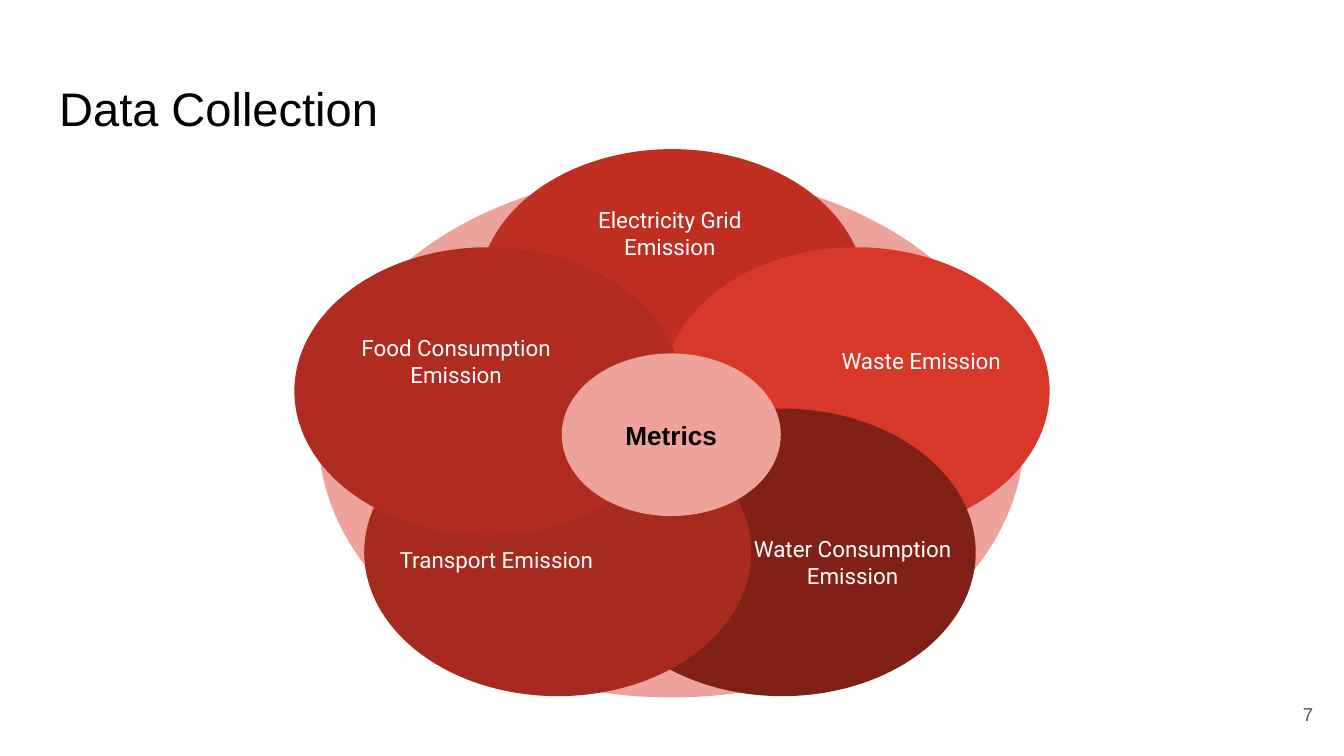
from pptx import Presentation
from pptx.dml.color import RGBColor
from pptx.enum.shapes import MSO_SHAPE as Shape
from pptx.enum.text import MSO_ANCHOR as Anchor, PP_ALIGN as Align
from pptx.util import Inches, Pt

COLORS = {
    "black": "000000",
    "white": "FFFFFF",
    "gray": "595959",
    "pink": "EDA29B",
    "electricity": "BE2F22",
    "waste": "D83829",
    "water": "802017",
    "transport": "A72A1E",
    "food": "B02C20",
}
PETAL_SIZE = (2.88, 2.14)
LABEL_SIZE = (1.77, 0.65)
PETALS = [
    ("Electricity Grid Emission", "electricity", (3.56, 1.11), (4.1, 1.41)),
    ("Waste Emission", "waste", (4.93, 1.84), (5.97, 2.36)),
    ("Water Consumption Emission", "water", (4.38, 3.04), (5.46, 3.86)),
    ("Transport Emission", "transport", (2.71, 3.04), (2.81, 3.84)),
    ("Food Consumption Emission", "food", (2.19, 1.84), (2.51, 2.36)),
]


def rgb(name):
    return RGBColor.from_string(COLORS[name])


def box(position, size):
    return [Inches(value) for value in (*position, *size)]


def write(shape, text, size, color, font="Arial", align=Align.CENTER, bold=False):
    frame = shape.text_frame
    frame.word_wrap = True
    frame.vertical_anchor = Anchor.MIDDLE
    frame.margin_left = frame.margin_right = Inches(0.1)
    frame.margin_top = frame.margin_bottom = Inches(0.1)
    frame.text = text
    paragraph = frame.paragraphs[0]
    paragraph.alignment = align
    run_font = paragraph.runs[0].font
    run_font.name = font
    run_font.size = Pt(size)
    run_font.bold = bold
    run_font.color.rgb = rgb(color)


def add_title(slide, text):
    title = slide.shapes.title
    title.left, title.top, title.width, title.height = box((0.34, 0.49), (9.32, 0.63))
    write(title, text, 25.2, "black", align=Align.LEFT)


def add_ellipse(shapes, position, size, color):
    ellipse = shapes.add_shape(Shape.OVAL, *box(position, size))
    ellipse.shadow.inherit = False
    ellipse.fill.solid()
    ellipse.fill.fore_color.rgb = rgb(color)
    ellipse.line.fill.background()
    return ellipse


def add_petal(slide, text, color, position, label_position):
    group = slide.shapes.add_group_shape()
    add_ellipse(group.shapes, position, PETAL_SIZE, color)
    label = group.shapes.add_textbox(*box(label_position, LABEL_SIZE))
    write(label, text, 12, "white", font="Roboto")


def add_page_number(slide, number):
    label = slide.shapes.add_textbox(*box((9.27, 5.1), (0.6, 0.43)))
    write(label, number, 10, "gray", align=Align.RIGHT)


def main():
    presentation = Presentation()
    presentation.slide_width = Inches(10)
    presentation.slide_height = Inches(10 * 9 / 16)
    slide = presentation.slides.add_slide(presentation.slide_layouts[5])
    add_title(slide, "Data Collection")
    add_ellipse(slide.shapes, (2.37, 1.29), (5.25, 3.9), "pink")
    for petal in PETALS:
        add_petal(slide, *petal)
    center = add_ellipse(slide.shapes, (4.18, 2.63), (1.63, 1.21), "pink")
    write(center, "Metrics", 14, "black", bold=True)
    add_page_number(slide, "7")
    presentation.save("out.pptx")


if __name__ == "__main__":
    main()
